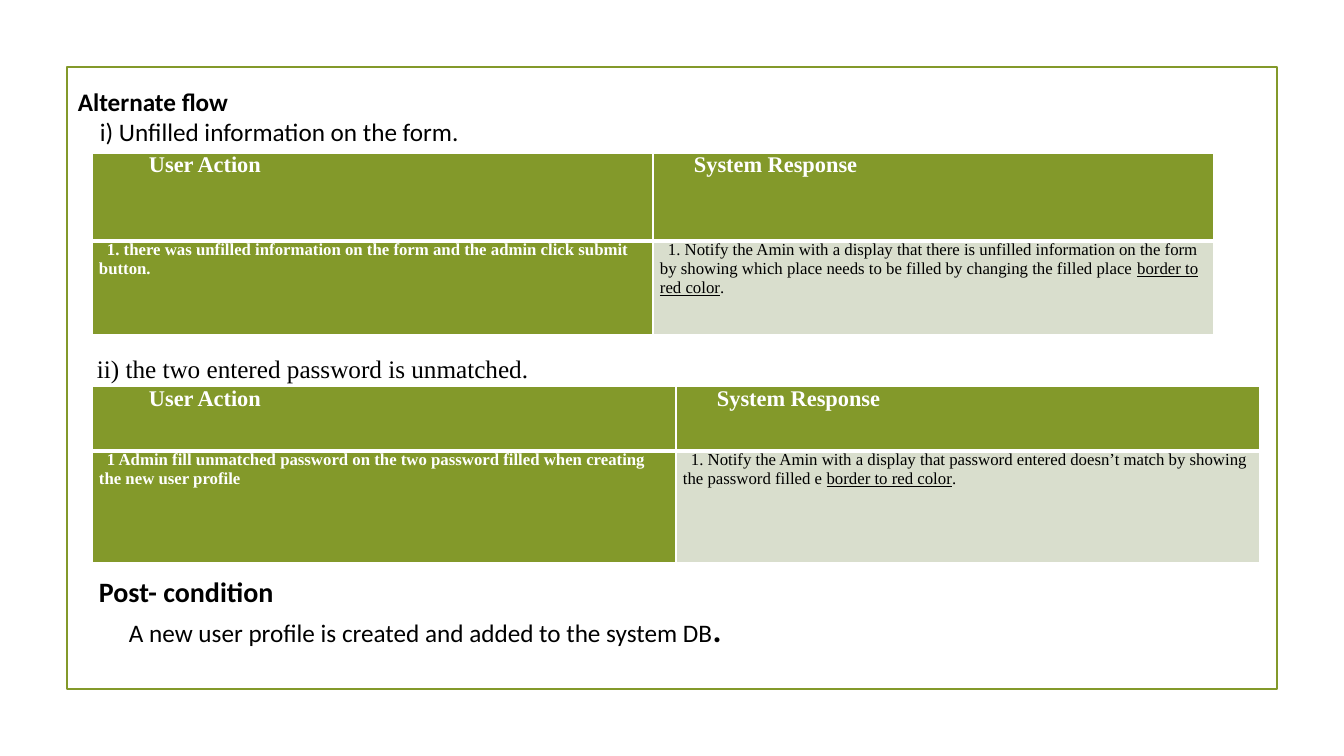
import pptx
import pptx.dml.color
import pptx.enum.shapes
import pptx.enum.text
import pptx.oxml
import pptx.oxml.ns
import pptx.util

EMU_PER_PX = 914400 / 100.8
COLORS = {"olive": "83992A", "pale": "D9DECD", "black": "000000", "white": "FFFFFF"}
SANS, SERIF = "Calibri", "Times New Roman"


def px(length):
    return pptx.util.Emu(round(length * EMU_PER_PX))


def rgb(name):
    return pptx.dml.color.RGBColor.from_string(COLORS[name])


def write_paragraph(paragraph, spans, font, color, first_indent=0):
    """Write spans of (text, size, bold, underline) with a first-line indent in px."""
    properties = paragraph._p.get_or_add_pPr()
    properties.set("marL", "0")
    properties.set("indent", str(px(first_indent)))
    paragraph.text = spans[0][0]
    for text, *_ in spans[1:]:
        paragraph.add_run().text = text
    for run, (_, size, bold, underline) in zip(paragraph.runs, spans):
        run.font.name = font
        run.font.size = pptx.util.Pt(size)
        run.font.bold = bold
        run.font.underline = underline
        run.font.color.rgb = rgb(color)


def add_frame(slide, left, top, width, height):
    frame = slide.shapes.add_shape(
        pptx.enum.shapes.MSO_SHAPE.RECTANGLE, px(left), px(top), px(width), px(height))
    frame.shadow.inherit = False
    frame.fill.background()
    frame.line.color.rgb = rgb("olive")
    frame.line.width = pptx.util.Pt(1.25)


def add_text(slide, box, font, lines):
    """Add a text box whose lines are (first indent, spans)."""
    frame = slide.shapes.add_textbox(*map(px, box)).text_frame
    frame.word_wrap = True
    frame.auto_size = pptx.enum.text.MSO_AUTO_SIZE.SHAPE_TO_FIT_TEXT
    for index, (indent, spans) in enumerate(lines):
        paragraph = frame.add_paragraph() if index else frame.paragraphs[0]
        write_paragraph(paragraph, spans, font, "black", indent)


def set_borders(cell, widths):
    """Draw white cell borders; widths are points for left, right, top, bottom."""
    properties = cell._tc.get_or_add_tcPr()
    for index, (side, width) in enumerate(zip("LRTB", widths)):
        border = pptx.oxml.parse_xml(
            f'<a:ln{side} {pptx.oxml.ns.nsdecls("a")} w="{pptx.util.Pt(width)}">'
            f'<a:solidFill><a:srgbClr val="{COLORS["white"]}"/></a:solidFill></a:ln{side}>')
        properties.insert(index, border)


def fill_cell(cell, spans, fill, color, indent, borders):
    cell.margin_left = cell.margin_right = px(7)
    cell.margin_top = cell.margin_bottom = 0
    cell.fill.solid()
    cell.fill.fore_color.rgb = rgb(fill)
    write_paragraph(cell.text_frame.paragraphs[0], spans, SERIF, color, indent)
    set_borders(cell, borders)


def add_flow_table(slide, top, column_width, row_heights, action, response):
    """Add a table that sets a user action beside the system response."""
    table = slide.shapes.add_table(
        2, 2, px(92), px(top), px(2 * column_width), px(sum(row_heights))).table
    for column in table.columns:
        column.width = px(column_width)
    for row, height in zip(table.rows, row_heights):
        row.height = px(height)
    for column, (heading, indent) in enumerate([("User Action", 50), ("System Response", 34)]):
        fill_cell(table.cell(0, column), [(heading, 16, True, False)],
                  "olive", "white", indent, (1, 1, 1, 3))
    fill_cell(table.cell(1, 0), [(action, 12, True, False)],
              "olive", "white", 8, (1, 1, 3, 1))
    response_spans = [(response, 12, False, False),
                      ("border to red color", 12, False, True),
                      (".", 12, False, False)]
    fill_cell(table.cell(1, 1), response_spans, "pale", "black", 8, (1, 1, 3, 1))


def main():
    deck = pptx.Presentation()
    deck.slide_width, deck.slide_height = px(1344), px(756)
    slide = deck.slides.add_slide(deck.slide_layouts[6])

    add_frame(slide, 67, 67, 1210, 622)
    add_text(slide, (62, 81, 946, 102), SANS, [
        (6, [("Alternate flow", 18, True, False)]),
        (28, [("i) Unfilled information on the form.", 18, False, False)]),
    ])
    add_flow_table(
        slide, 153, 561, (88, 94),
        "1. there was unfilled information on the form and the admin click submit button.",
        "1. Notify the Amin with a display that there is unfilled information on the form "
        "by showing which place needs to be filled by changing the filled place ")
    add_text(slide, (62, 348, 799, 39), SERIF, [
        (25, [("ii) the two entered password is unmatched.", 18, False, False)]),
    ])
    add_flow_table(
        slide, 386, 584, (65, 112),
        "1 Admin fill unmatched password on the two password filled when creating "
        "the new user profile",
        "1. Notify the Amin with a display that password entered doesn’t match by showing "
        "the password filled e ")
    add_text(slide, (89, 570, 903, 85), SANS, [
        (0, [("Post- condition", 20, True, False)]),
        (30, [("A new user profile is created and added to the system DB", 18, False, False),
              (".", 24, True, False)]),
    ])
    deck.save("out.pptx")


if __name__ == "__main__":
    main()
